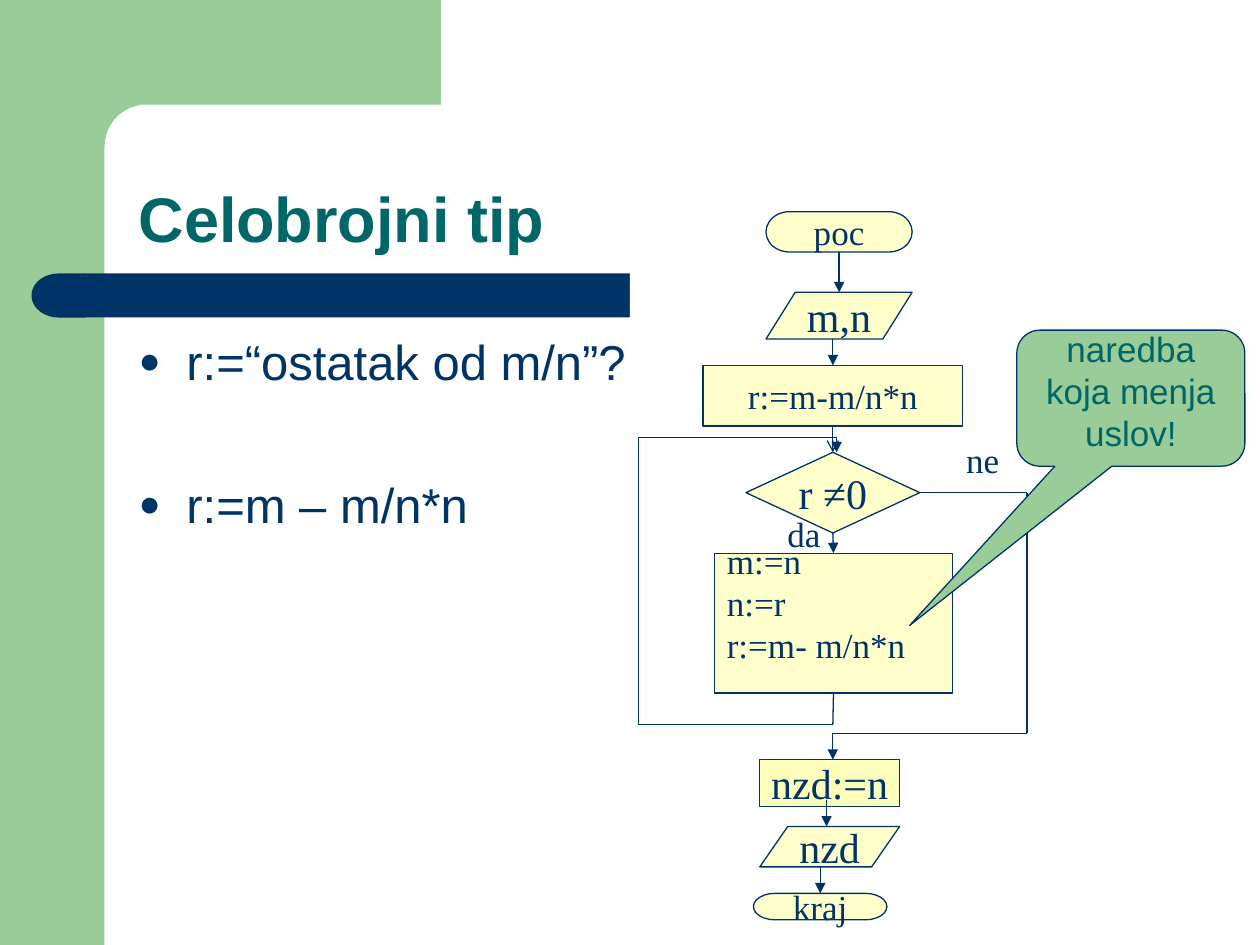
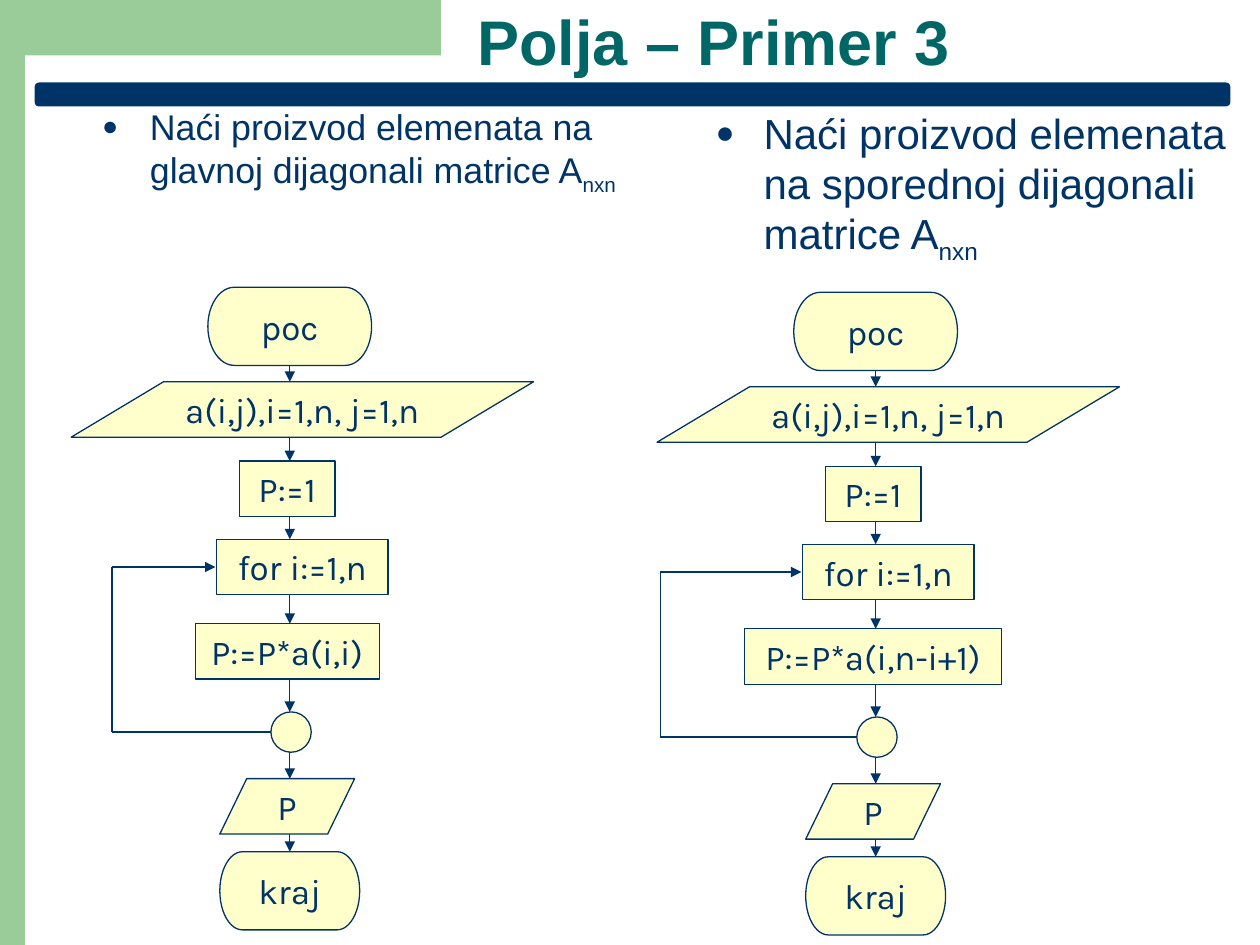
import dataclasses

import lxml.etree
import pptx
import pptx.dml.color
import pptx.enum.shapes
import pptx.enum.text
import pptx.oxml.ns
import pptx.util

SHAPE = pptx.enum.shapes.MSO_SHAPE
ANCHOR = pptx.enum.text.MSO_ANCHOR
ALIGN = pptx.enum.text.PP_ALIGN
RGB = pptx.dml.color.RGBColor.from_string
qn = pptx.oxml.ns.qn


@dataclasses.dataclass(frozen=True)
class Theme:
    green = RGB("99CC99")
    navy = RGB("003366")
    teal = RGB("006666")
    cream = RGB("FFFFCC")
    deep_cream = RGB("FEFEBC")
    white = RGB("FFFFFF")
    sans = "Arial"
    serif = "Times New Roman"
    chart_font = "Karla"
    title_size = 36
    list_size = 28
    column_size = 24
    small_column_size = 20.4
    large_node_size = 24
    node_size = 20
    line_width = pptx.util.Pt(0.75)


theme = Theme()
presentation = pptx.Presentation()
presentation.slide_width = pptx.util.Inches(10)
presentation.slide_height = pptx.util.Inches(7.5)
CELL = presentation.slide_width / 100  # the slide is a grid of 100 columns by 75 rows


def add_node(slide, kind, left, top, width, height, text="", fill=theme.cream, line=theme.navy,
             font=theme.serif, size=theme.node_size, color=theme.navy,
             anchor=ANCHOR.MIDDLE, align=ALIGN.CENTER, wrap=False):
    """Add a shape placed in grid cells; without a kind it is a plain text label."""
    box = [round(length * CELL) for length in (left, top, width, height)]
    if kind is None:
        shape = slide.shapes.add_textbox(*box)
    else:
        shape = slide.shapes.add_shape(kind, *box)
        shape.shadow.inherit = False
        shape.fill.solid()
        shape.fill.fore_color.rgb = fill
        if line is None:
            shape.line.fill.background()
        else:
            shape.line.color.rgb = line
            shape.line.width = theme.line_width
    if text:
        frame = shape.text_frame
        frame.word_wrap = wrap
        frame.vertical_anchor = anchor
        frame.text = text
        for paragraph in frame.paragraphs:
            paragraph.alignment = align
            run_font = paragraph.runs[0].font
            for name, value in {"name": font, "size": pptx.util.Pt(size)}.items():
                setattr(run_font, name, value)
            run_font.color.rgb = color
    return shape


def add_route(slide, points, start=None, end=None, arrow="triangle"):
    """Draw straight connectors through grid points; start and end are (shape, site) joints."""
    last = len(points) - 2
    for index, (begin, finish) in enumerate(zip(points, points[1:])):
        connector = slide.shapes.add_connector(
            pptx.enum.shapes.MSO_CONNECTOR.STRAIGHT,
            *(round(length * CELL) for length in (*begin, *finish)))
        connector.line.color.rgb = theme.navy
        connector.line.width = theme.line_width
        if index == 0 and start:
            connector.begin_connect(*start)
        if index == last and end:
            connector.end_connect(*end)
        if index == last:
            line = connector.line._get_or_add_ln()
            lxml.etree.SubElement(line, qn("a:tailEnd"), type=arrow)
        lxml.etree.SubElement(connector._element.spPr, qn("a:effectLst"))


# Both slides: green frame, white panels, title and bulleted lists
list_slide_panels = [
    (SHAPE.ROUNDED_RECTANGLE, 8.3, 8.3, 55.8, 6.7, theme.white),
    (SHAPE.RECTANGLE, 6.7, 21.7, 76.7, 3.5, theme.navy),
    (SHAPE.FLOWCHART_DELAY, 2.5, 21.7, 4.3, 3.5, theme.navy),
    (SHAPE.RECTANGLE, 50, 0, 50, 75, theme.white),
]
slide_plans = [
    {"layout": 1, "panels": list_slide_panels,
     "title": ("Celobrojni tip", (10, 8.3, 87.5, 12.5)),
     "lists": [((10, 25.8, 87.5, 40.8), theme.list_size,
                ["r:=“ostatak od m/n”?", "r:=m – m/n*n"])]},
    {"layout": 3, "panels": [(SHAPE.RECTANGLE, 2, 4.4, 98, 70.6, theme.white)],
     "title": ("Polja – Primer 3", (36.9, -1.1, 87.5, 7.9)),
     "lists": [((7.1, 7.8, 42.9, 11.2), theme.small_column_size,
                ["Naći proizvod elemenata na glavnoj dijagonali matrice A|nxn"]),
               ((55.8, 8, 42.9, 40.8), theme.column_size,
                ["Naći proizvod elemenata na sporednoj dijagonali matrice A|nxn"])]},
]
frame_bands = [(SHAPE.RECTANGLE, 0, 0, 8.3, 75, theme.green),
               (SHAPE.RECTANGLE, 7.5, 0, 27.5, 11.7, theme.green)]
BULLET_INDENT = pptx.util.Inches(0.38)

for plan in slide_plans:
    slide = presentation.slides.add_slide(presentation.slide_layouts[plan["layout"]])
    for kind, *box, color in frame_bands + plan["panels"]:
        panel = add_node(slide, kind, *box, fill=color, line=None)
        if kind == SHAPE.ROUNDED_RECTANGLE:
            panel.adjustments[0] = 0.5
        elif kind == SHAPE.FLOWCHART_DELAY:
            panel.rotation = 180

    title_text, title_box = plan["title"]
    title, *bodies = slide.placeholders
    blocks = [(title, title_box, theme.title_size, [title_text])]
    blocks += [(body, *content) for body, content in zip(bodies, plan["lists"])]
    for placeholder, box, size, texts in blocks:
        slide.shapes._spTree.append(placeholder._element)  # in front of the panels
        for name, length in zip(("left", "top", "width", "height"), box):
            setattr(placeholder, name, round(length * CELL))
        is_title = placeholder is title
        frame = placeholder.text_frame
        frame_format = {"word_wrap": True, "auto_size": pptx.enum.text.MSO_AUTO_SIZE.NONE,
                        "vertical_anchor": ANCHOR.BOTTOM if is_title else ANCHOR.TOP}
        for name, value in frame_format.items():
            setattr(frame, name, value)
        for index, text in enumerate(texts):
            paragraph = frame.add_paragraph() if index else frame.paragraphs[0]
            paragraph.alignment = ALIGN.LEFT
            paragraph.space_before = pptx.util.Pt(48 if index else 0)
            if is_title:
                paragraph.line_spacing = 0.9
            else:
                properties = paragraph._p.get_or_add_pPr()
                properties.set("marL", str(BULLET_INDENT))
                properties.set("indent", str(-BULLET_INDENT))
                bullet_color = lxml.etree.SubElement(properties, qn("a:buClr"))
                lxml.etree.SubElement(bullet_color, qn("a:srgbClr"), val=str(theme.navy))
                lxml.etree.SubElement(properties, qn("a:buSzPct"), val="75000")
                lxml.etree.SubElement(properties, qn("a:buFont"), typeface=theme.sans)
                lxml.etree.SubElement(properties, qn("a:buChar"), char="●")
            for part, piece in enumerate(text.split("|")):
                run = paragraph.add_run()
                run.text = piece
                run_format = {"name": theme.sans, "size": pptx.util.Pt(size), "bold": is_title}
                for name, value in run_format.items():
                    setattr(run.font, name, value)
                run.font.color.rgb = theme.teal if is_title else theme.navy
                if part:
                    run._r.get_or_add_rPr().set("baseline", "-25000")

# Slide 1: flowchart of the greatest common divisor
slide = presentation.slides[0]
AXIS = 66.1
gcd_nodes = {
    "start": (SHAPE.FLOWCHART_TERMINATOR, 60.8, 16.8, 11.6, 3.2, "poc"),
    "input": (SHAPE.FLOWCHART_DATA, 60.8, 23.2, 11.6, 3.7, "m,n"),
    "remainder": (SHAPE.FLOWCHART_PROCESS, 55.8, 29, 20.6, 4.8, "r:=m-m/n*n"),
    "test": (SHAPE.FLOWCHART_DECISION, 59.2, 35.9, 13.8, 6.4, "r ≠0"),
    "step": (SHAPE.FLOWCHART_PROCESS, 56.7, 43.9, 18.9, 11.1, "m:=n\nn:=r\nr:=m- m/n*n"),
    "result": (SHAPE.FLOWCHART_PROCESS, 60.3, 60.3, 11.1, 3.7, "nzd:=n"),
    "output": (SHAPE.FLOWCHART_DATA, 60.3, 65.6, 11.1, 3.2, "nzd"),
    "end": (SHAPE.FLOWCHART_TERMINATOR, 59.8, 70.9, 10.6, 2.1, "kraj"),
}
node_formats = {name: {"size": theme.large_node_size}
                for name in ("input", "test", "result", "output")}
node_formats["result"]["fill"] = theme.deep_cream
node_formats["step"] = {"align": ALIGN.LEFT, "wrap": True}
nodes = {name: add_node(slide, *node, **node_formats.get(name, {}))
         for name, node in gcd_nodes.items()}
nodes["step"].text_frame.margin_bottom = pptx.util.Inches(0.38)

add_route(slide, [(66.6, 20), (66.6, 23.2)], start=(nodes["start"], 2))
add_route(slide, [(AXIS, 26.9), (AXIS, 29)], end=(nodes["remainder"], 0))
add_route(slide, [(AXIS, 33.8), (AXIS, 35.9)],
          start=(nodes["remainder"], 2), end=(nodes["test"], 0), arrow="arrow")
add_route(slide, [(AXIS, 42.3), (AXIS, 43.9)],
          start=(nodes["test"], 2), end=(nodes["step"], 0))
add_route(slide, [(AXIS, 55), (AXIS, 57.5), (50.7, 57.5), (50.7, 34.7), (66.4, 34.7),
                  (66.4, 35.9)], start=(nodes["step"], 2))
add_route(slide, [(73, 39.1), (81.5, 39.1), (81.5, 58.2), (AXIS, 58.2), (AXIS, 60.3)],
          start=(nodes["test"], 3))
add_route(slide, [(65.6, 63.5), (65.6, 65.6)])
add_route(slide, [(65.1, 68.8), (65.1, 70.9)], end=(nodes["end"], 0))

for text, left, top in [("ne", 75.7, 34.3), ("da", 61.5, 40.2)]:
    add_node(slide, None, left, top, 4.6, 4.4, text, anchor=ANCHOR.TOP, align=ALIGN.LEFT)
callout = add_node(slide, SHAPE.ROUNDED_RECTANGULAR_CALLOUT, 80.7, 26.2, 18.1, 10.8,
                   "naredba koja menja uslov!", fill=theme.green, font=theme.sans,
                   color=theme.teal, anchor=ANCHOR.BOTTOM, wrap=True)
for index, value in enumerate((-0.97, 1.67, 0.17)):
    callout.adjustments[index] = value

# Slide 2: the same flowchart for each diagonal
slide = presentation.slides[1]
bar = add_node(slide, SHAPE.ROUNDED_RECTANGLE, 2.8, 6.6, 94.8, 1.8, fill=theme.navy)
bar.adjustments[0] = 0.17
diagonals = [(23, 22.8, 8.9, "P:=P*a(i,i)", 14.6),
             (69.5, 23.2, 52.4, "P:=P*a(i,n-i+1)", 20.4)]
for axis, chart_top, return_lane, product, product_width in diagonals:
    # kind, offset from axis, row below chart top, width, height, text
    steps = [
        (SHAPE.FLOWCHART_TERMINATOR, 0, 0, 13, 6.2, "poc"),
        (SHAPE.FLOWCHART_DATA, 1, 7.5, 36.7, 4.4, "a(i,j),i=1,n, j=1,n"),
        (SHAPE.FLOWCHART_PROCESS, -0.2, 13.8, 7.6, 4.4, "P:=1"),
        (SHAPE.FLOWCHART_PROCESS, 1, 20, 13.6, 4.4, "for i:=1,n"),
        (SHAPE.FLOWCHART_PROCESS, -0.2, 26.7, product_width, 4.4, product),
        (SHAPE.FLOWCHART_CONNECTOR, 0.1, 33.7, 3.2, 3.2, ""),
        (SHAPE.FLOWCHART_DATA, -0.2, 39, 10.7, 4.4, "P"),
        (SHAPE.FLOWCHART_TERMINATOR, 0, 44.8, 11.1, 6.2, "kraj"),
    ]
    previous = None
    for kind, offset, row, width, height, text in steps:
        top = chart_top + row
        node = add_node(slide, kind, axis + offset - width / 2, top, width, height, text,
                        font=theme.chart_font)
        joint = node if kind == SHAPE.FLOWCHART_TERMINATOR else None
        if previous:
            bottom, previous_joint = previous
            add_route(slide, [(axis, bottom), (axis, top)],
                      start=previous_joint and (previous_joint, 2), end=joint and (joint, 0))
        previous = (top + height, joint)
    circle_row, loop_row = chart_top + 35.3, chart_top + 22.2
    add_route(slide, [(axis - 1.5, circle_row), (return_lane, circle_row),
                      (return_lane, loop_row), (axis - 5.9, loop_row)])

presentation.save("out.pptx")
